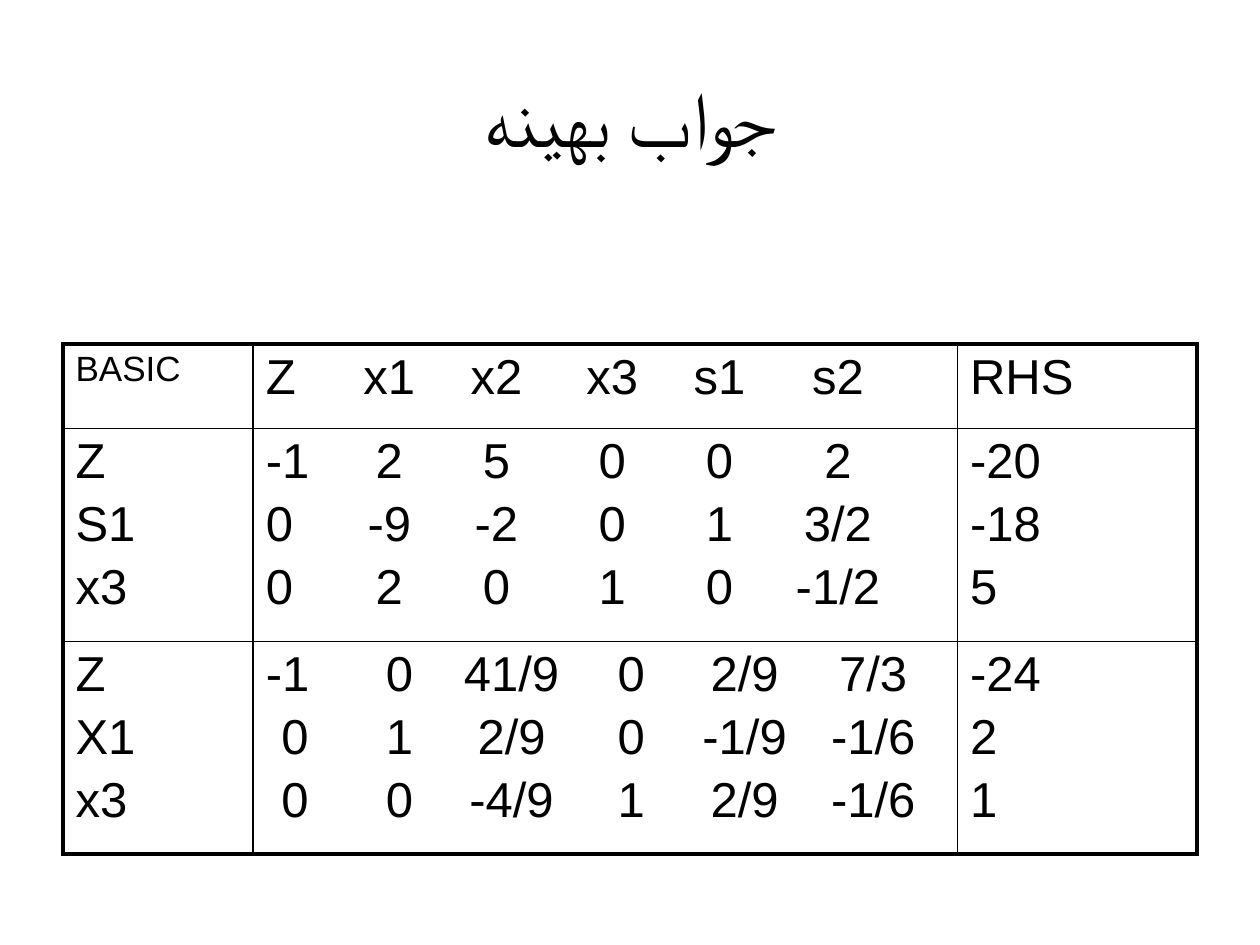
from dataclasses import dataclass

import pptx
import pptx.dml.color
import pptx.enum.text
import pptx.oxml
import pptx.oxml.ns
import pptx.util
from pptx.util import Inches, Pt

COLORS = {"ink": "000000"}
FONT = "Arial"
OUTER_LINE, INNER_LINE = Pt(2.25), Pt(1)
COLUMN_WIDTHS = (1.51, 5.59, 1.9)


@dataclass(frozen=True)
class TabStop:
    position: float
    align: str = "ctr"


@dataclass(frozen=True)
class Tableau:
    """One table row: basic variables, their coefficients and right-hand sides."""
    height: float
    basics: tuple[str, ...]
    coefficients: tuple[str, ...]
    rhs: tuple[str, ...]
    stops: tuple[TabStop, ...]
    basic_size: int = 28


START_STOPS = tuple(TabStop(x) for x in (0.98, 1.83, 2.75, 3.6, 4.54))
OPTIMAL_STOPS = (TabStop(0.34, "r"),) + tuple(
    TabStop(x) for x in (1.06, 1.95, 2.9, 3.8, 4.82))

TABLEAUS = (
    Tableau(0.67, ("BASIC",), ("Z\tx1\tx2\tx3\ts1\ts2",), ("RHS",),
            START_STOPS, basic_size=20),
    Tableau(1.69, ("Z", "S1", "x3"),
            ("-1\t2\t5\t0\t0\t2", "0\t-9\t-2\t0\t1\t3/2", "0\t2\t0\t1\t0\t-1/2"),
            ("-20", "-18", "5"), START_STOPS),
    Tableau(1.69, ("Z", "X1", "x3"),
            ("\t-1\t0\t41/9\t0\t2/9\t7/3", "\t0\t1\t2/9\t0\t-1/9\t-1/6",
             "\t0\t0\t-4/9\t1\t2/9\t-1/6"),
            ("-24", "2", "1"), OPTIMAL_STOPS),
)


def format_runs(paragraph, size: float) -> None:
    for run in paragraph.runs:
        run.font.name = FONT
        run.font.size = Pt(size)
        run.font.color.rgb = pptx.dml.color.RGBColor.from_string(COLORS["ink"])


def add_tab_stops(paragraph, stops: tuple[TabStop, ...]) -> None:
    tabs = "".join(f'<a:tab pos="{Inches(stop.position)}" algn="{stop.align}"/>'
                   for stop in stops)
    paragraph._p.get_or_add_pPr().append(pptx.oxml.parse_xml(
        f'<a:tabLst {pptx.oxml.ns.nsdecls("a")}>{tabs}</a:tabLst>'))


def add_borders(cell, widths: dict[str, int]) -> None:
    properties = cell._tc.get_or_add_tcPr()
    for side, width in widths.items():
        properties.append(pptx.oxml.parse_xml(
            f'<a:ln{side} {pptx.oxml.ns.nsdecls("a")} w="{width}"><a:solidFill>'
            f'<a:srgbClr val="{COLORS["ink"]}"/></a:solidFill></a:ln{side}>'))


def fill_cell(cell, lines: tuple[str, ...], size: float,
              stops: tuple[TabStop, ...] = ()) -> None:
    cell.text_frame.text = "\n".join(lines)
    for index, paragraph in enumerate(cell.text_frame.paragraphs):
        if index:
            paragraph.space_before = Pt(4.7)
        if stops:
            add_tab_stops(paragraph, stops)
        format_runs(paragraph, size)
    cell.fill.background()


def add_title(slide, title: str) -> None:
    frame = slide.shapes.add_textbox(
        Inches(0.5), Inches(0.3), Inches(9), Inches(1.25)).text_frame
    frame.word_wrap = True
    frame.vertical_anchor = pptx.enum.text.MSO_ANCHOR.MIDDLE
    frame.text = title
    heading = frame.paragraphs[0]
    heading.alignment = pptx.enum.text.PP_ALIGN.CENTER
    heading._p.get_or_add_pPr().set("rtl", "1")
    format_runs(heading, 44)


def add_simplex_table(slide, tableaus: tuple[Tableau, ...]) -> None:
    last_row, last_column = len(tableaus) - 1, len(COLUMN_WIDTHS) - 1
    table = slide.shapes.add_table(
        len(tableaus), len(COLUMN_WIDTHS), Inches(0.5), Inches(2.73),
        Inches(sum(COLUMN_WIDTHS)), Inches(sum(t.height for t in tableaus))).table
    table.first_row = table.horz_banding = False
    for column, width in zip(table.columns, COLUMN_WIDTHS):
        column.width = Inches(width)

    for r, tableau in enumerate(tableaus):
        table.rows[r].height = Inches(tableau.height)
        for c in range(len(COLUMN_WIDTHS)):
            on_edge = {"L": c == 0, "R": c == last_column,
                       "T": r == 0, "B": r == last_row}
            add_borders(table.cell(r, c), {
                side: OUTER_LINE if outer else INNER_LINE
                for side, outer in on_edge.items()})
        fill_cell(table.cell(r, 0), tableau.basics, tableau.basic_size)
        fill_cell(table.cell(r, 1), tableau.coefficients, 28, tableau.stops)
        fill_cell(table.cell(r, 2), tableau.rhs, 28)


def main() -> None:
    presentation = pptx.Presentation()
    presentation.slide_width = Inches(10)
    presentation.slide_height = Inches(7.5)
    slide = presentation.slides.add_slide(presentation.slide_layouts[6])
    add_title(slide, "جواب بهينه")
    add_simplex_table(slide, TABLEAUS)
    presentation.save("out.pptx")


if __name__ == "__main__":
    main()
